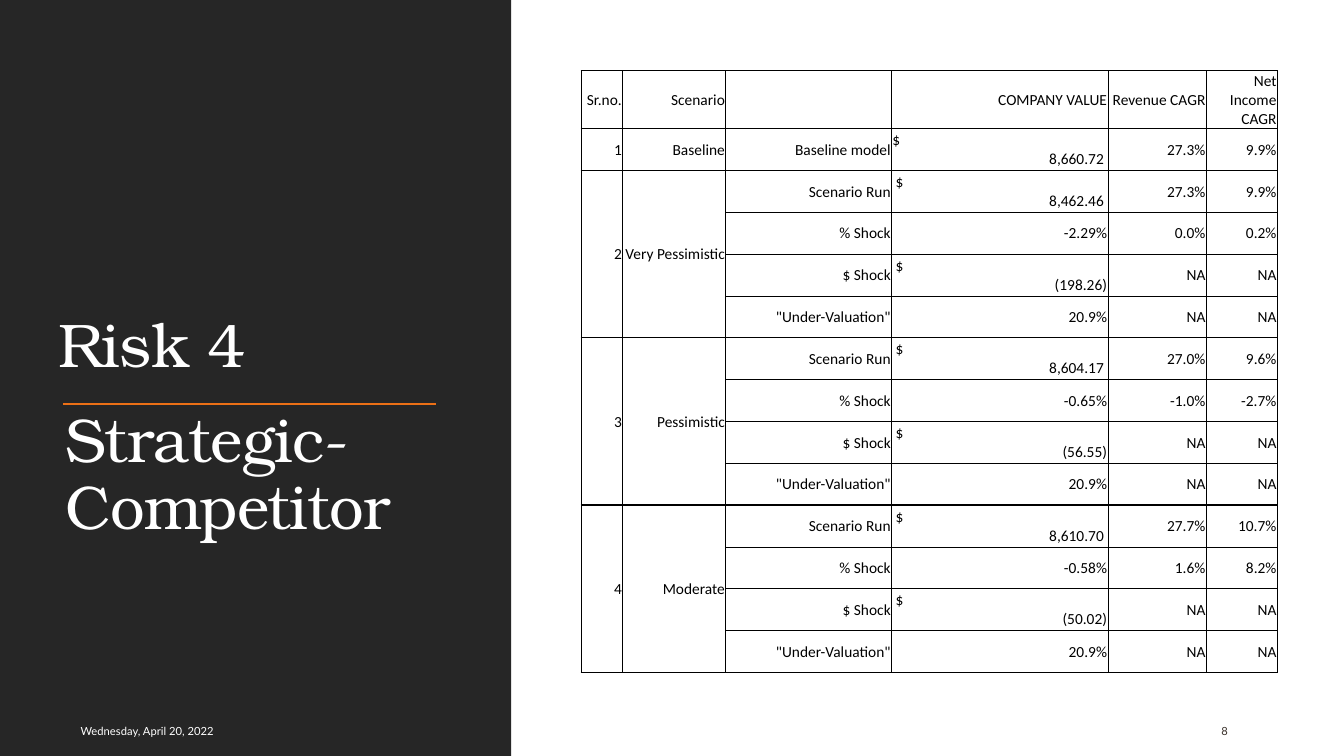
from pptx import Presentation, util as u
from pptx.dml.color import RGBColor
from pptx.enum import shapes, text
from pptx.oxml import parse_xml
from pptx.oxml.ns import nsdecls

Cm, Pt = u.Cm, u.Pt
CHARCOAL = RGBColor(0x26, 0x26, 0x26)
WHITE = RGBColor(0xFF, 0xFF, 0xFF)
ORANGE = RGBColor(0xEC, 0x70, 0x16)
BROWN = RGBColor(0x39, 0x30, 0x2A)
BLACK = RGBColor(0, 0, 0)

prs = Presentation()
prs.slide_width, prs.slide_height = Cm(33.87), Cm(19.05)
slide = prs.slides.add_slide(prs.slide_layouts[6])


def add_text(words, left, top, width, height, font, size, color, anchor):
    box = slide.shapes.add_textbox(Cm(left), Cm(top), Cm(width), Cm(height))
    frame = box.text_frame
    frame.word_wrap = True
    frame.vertical_anchor = anchor
    frame.text = words
    run = frame.paragraphs[0].runs[0]
    run.font.name, run.font.size, run.font.color.rgb = font, Pt(size), color
    return frame.paragraphs[0]


def set_borders(cell, weights):
    props = cell._tc.get_or_add_tcPr()
    for position, (side, weight) in enumerate(weights.items()):
        props.insert(position, parse_xml(
            f'<a:{side} {nsdecls("a")} w="{Pt(weight)}"><a:solidFill>'
            f'<a:srgbClr val="{BLACK}"/></a:solidFill></a:{side}>'))


# Dark panel with the orange rule
panel = slide.shapes.add_shape(shapes.MSO_SHAPE.RECTANGLE, 0, 0, Cm(12.88), prs.slide_height)
panel.shadow.inherit = False
panel.fill.solid()
panel.fill.fore_color.rgb = CHARCOAL
panel.line.fill.background()

rule = slide.shapes.add_connector(shapes.MSO_CONNECTOR.STRAIGHT, Cm(1.6), Cm(10.19), Cm(11), Cm(10.19))
rule.line.color.rgb = ORANGE
rule.line.width = Pt(1.5)
rule._element.spPr.append(parse_xml(f'<a:effectLst {nsdecls("a")}/>'))

# Headings
for words, left, top, anchor in (
    ("Risk 4", 1.22, 1.78, text.MSO_ANCHOR.BOTTOM),
    ("Strategic-Competitor", 1.4, 10.19, text.MSO_ANCHOR.TOP),
):
    heading = add_text(words, left, top, 10.16, 7.95, "TeX Gyre Bonum", 44, WHITE, anchor)
    heading.line_spacing = 0.9
    heading.runs[0].font._element.set("spc", "-50")

# Date and page number
add_text("Wednesday, April 20, 2022", 1.78, 17.91, 9.78, 1.02, "Lato", 8, WHITE, text.MSO_ANCHOR.MIDDLE)
add_text("8", 30.53, 17.91, 2.16, 1.02, "Lato", 8, BROWN, text.MSO_ANCHOR.MIDDLE)

# Scenario results; "$" amounts stand on two lines
rows = [
    ("Sr.no.", "Scenario", "", "COMPANY VALUE", "Revenue CAGR", "Net Income CAGR"),
    ("1", "Baseline", "Baseline model", "$\n8,660.72", "27.3%", "9.9%"),
]
scenarios = [
    ("2", "Very Pessimistic", "8,462.46", "27.3%", "9.9%", "-2.29%", "0.0%", "0.2%", "(198.26)"),
    ("3", "Pessimistic", "8,604.17", "27.0%", "9.6%", "-0.65%", "-1.0%", "-2.7%", "(56.55)"),
    ("4", "Moderate", "8,610.70", "27.7%", "10.7%", "-0.58%", "1.6%", "8.2%", "(50.02)"),
]
for number, name, value, revenue, income, shock, revenue_shock, income_shock, loss in scenarios:
    rows += [
        (number, name, "Scenario Run", f"$\n{value}", revenue, income),
        ("", "", "% Shock", shock, revenue_shock, income_shock),
        ("", "", "$ Shock", f"$\n{loss}", "NA", "NA"),
        ("", "", '"Under-Valuation"', "20.9%", "NA", "NA"),
    ]

widths = (1.04, 2.6, 4.18, 5.45, 2.48, 1.79)
table_height, header_height = 15.17, 1.46
row_height = (table_height - header_height) / (len(rows) - 1)
results = slide.shapes.add_table(len(rows), len(widths), Cm(14.65), Cm(1.78),
                                 Cm(sum(widths)), Cm(table_height)).table
results.first_row = results.horz_banding = False
for column, width in zip(results.columns, widths):
    column.width = Cm(width)
for row in results.rows:
    row.height = Cm(row_height)
results.rows[0].height = Cm(header_height)

group_starts = (0, 1, 2, 6, 10, len(rows))
for r, row in enumerate(rows):
    for c, words in enumerate(row):
        cell = results.cell(r, c)
        cell.fill.background()
        cell.vertical_anchor = text.MSO_ANCHOR.MIDDLE
        cell.margin_left = cell.margin_right = cell.margin_top = Cm(0.02)
        cell.margin_bottom = 0
        set_borders(cell, {
            "lnL": 1 if c == 0 else 0.5,
            "lnR": 1 if c == len(widths) - 1 else 0.5,
            "lnT": 1 if c < 2 or r in group_starts else 0.5,
            "lnB": 1 if c < 2 or r + 1 in group_starts else 0.5,
        })
        cell.text_frame.text = words
        for line in cell.text_frame.paragraphs:
            line.alignment = text.PP_ALIGN.RIGHT
            if line.text == "$":
                line.alignment = text.PP_ALIGN.LEFT
                if r > 1:
                    line._p.get_or_add_pPr().set("marL", str(Cm(0.08)))
            elif "\n" in words and not line.text.startswith("("):
                line._p.get_or_add_pPr().set("marR", str(Cm(0.08)))
            for run in line.runs:
                run.font.name, run.font.size, run.font.color.rgb = "Calibri", Pt(11), BLACK

for start in group_starts[2:-1]:
    for c in range(2):
        results.cell(start, c).merge(results.cell(start + 3, c))

prs.save("out.pptx")
